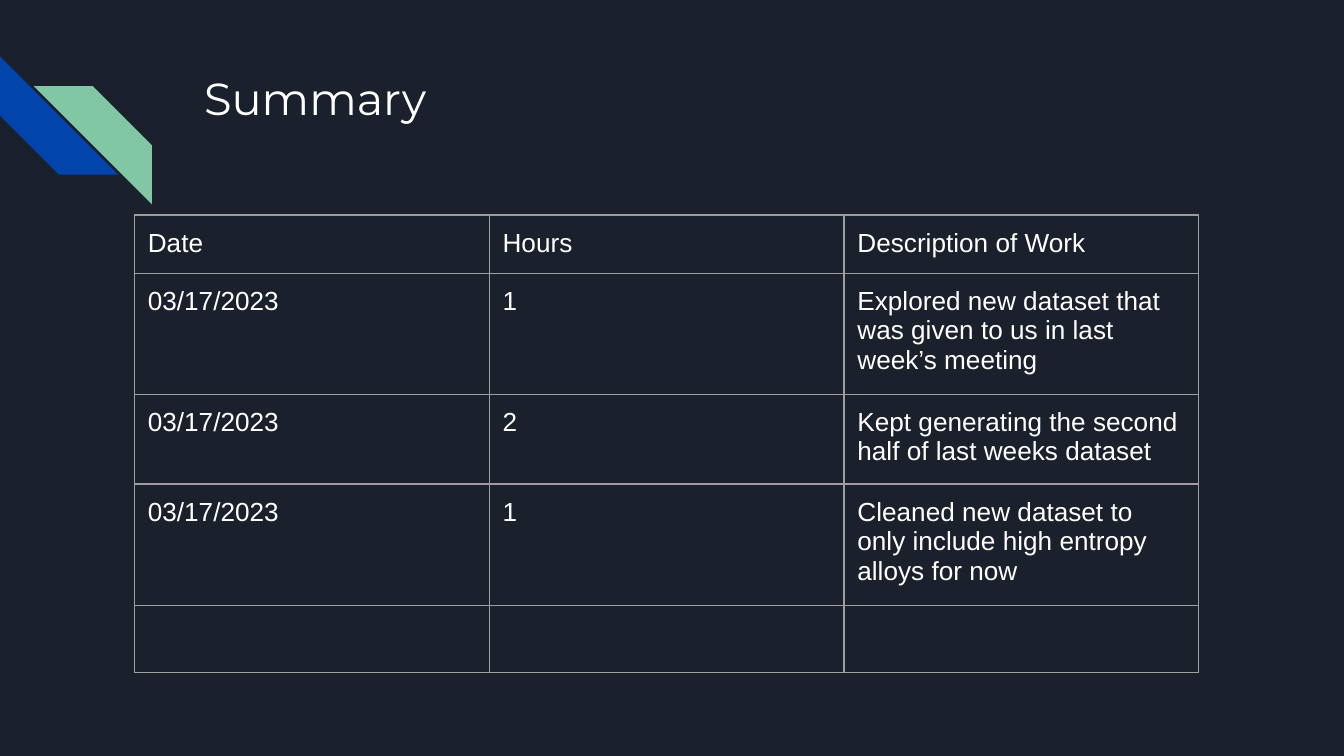
from lxml.etree import SubElement
from pptx import Presentation
from pptx.dml.color import RGBColor
from pptx.enum.shapes import MSO_SHAPE
from pptx.enum.text import MSO_ANCHOR
from pptx.oxml.ns import qn
from pptx.util import Inches, Pt

BACKGROUND = RGBColor(0x1B, 0x21, 0x2C)
BLUE = RGBColor(0x01, 0x45, 0xAC)
GREEN = RGBColor(0x82, 0xC7, 0xA5)
WHITE = RGBColor(0xFF, 0xFF, 0xFF)
BORDER = RGBColor(0x9E, 0x9E, 0x9E)

SLIDE_WIDTH = 10
SLIDE_HEIGHT = SLIDE_WIDTH * 9 / 16
MARGIN = Inches(0.1)
WORK_LOG = [
    ("Date", "Hours", "Description of Work"),
    ("03/17/2023", "1",
     "Explored new dataset that was given to us in last week’s meeting"),
    ("03/17/2023", "2",
     "Kept generating the second half of last weeks dataset"),
    ("03/17/2023", "1",
     "Cleaned new dataset to only include high entropy alloys for now"),
    ("", "", ""),
]


def write_text(holder, text, font="Arial", size=14, color=WHITE):
    """Write one formatted run into a text box or a table cell."""
    frame = holder.text_frame
    frame.word_wrap = True
    if text:
        run = frame.paragraphs[0].add_run()
        run.text = text
        run.font.name = font
        run.font.size = Pt(size)
        run.font.color.rgb = color


def set_margins(holder):
    holder.margin_left = holder.margin_right = MARGIN
    holder.margin_top = holder.margin_bottom = MARGIN


def add_corner_stripes(slide, left, top, size):
    """Place two mirrored stripes; the second is offset right and down."""
    stripes = [(0, 0, 270, BLUE), (0.25, 0.22, 90, GREEN)]
    for offset_x, offset_y, rotation, color in stripes:
        stripe = slide.shapes.add_shape(
            MSO_SHAPE.DIAGONAL_STRIPE, Inches(left + offset_x),
            Inches(top + offset_y), Inches(size), Inches(size))
        stripe.adjustments[0] = 0.5
        stripe.rotation = rotation
        stripe.shadow.inherit = False
        stripe.fill.solid()
        stripe.fill.fore_color.rgb = color
        stripe.line.fill.background()


def add_title(slide, text, left, top, width, height):
    title = slide.shapes.add_textbox(
        Inches(left), Inches(top), Inches(width), Inches(height))
    set_margins(title.text_frame)
    title.text_frame.vertical_anchor = MSO_ANCHOR.TOP
    write_text(title, text, font="Montserrat", size=24)


def add_borders(cell, color=BORDER, width=0.75):
    properties = cell._tc.get_or_add_tcPr()
    for position, side in enumerate(("a:lnL", "a:lnR", "a:lnT", "a:lnB")):
        line = SubElement(properties, qn(side), w=str(Pt(width)))
        fill = SubElement(line, qn("a:solidFill"))
        SubElement(fill, qn("a:srgbClr"), val=str(color))
        properties.insert(position, line)


def add_work_table(slide, rows, left, top, width, row_height):
    """Place the table; rows grow from row_height to fit their text."""
    table = slide.shapes.add_table(
        len(rows), len(rows[0]), Inches(left), Inches(top),
        Inches(width), Inches(row_height * len(rows))).table
    table.first_row = table.horz_banding = False
    for row, texts in zip(table.rows, rows):
        for cell, text in zip(row.cells, texts):
            set_margins(cell)
            cell.fill.background()
            add_borders(cell)
            write_text(cell, text)


def main():
    presentation = Presentation()
    presentation.slide_width = Inches(SLIDE_WIDTH)
    presentation.slide_height = Inches(SLIDE_HEIGHT)
    slide = presentation.slides.add_slide(presentation.slide_layouts[6])
    slide.background.fill.solid()
    slide.background.fill.fore_color.rgb = BACKGROUND

    add_corner_stripes(slide, left=0, top=0.42, size=0.88)
    add_title(slide, "Summary", left=1.42, top=0.43, width=7.7, height=1)
    add_work_table(slide, WORK_LOG, left=1, top=1.6, width=7.92,
                   row_height=0.42)
    presentation.save("out.pptx")


if __name__ == "__main__":
    main()
